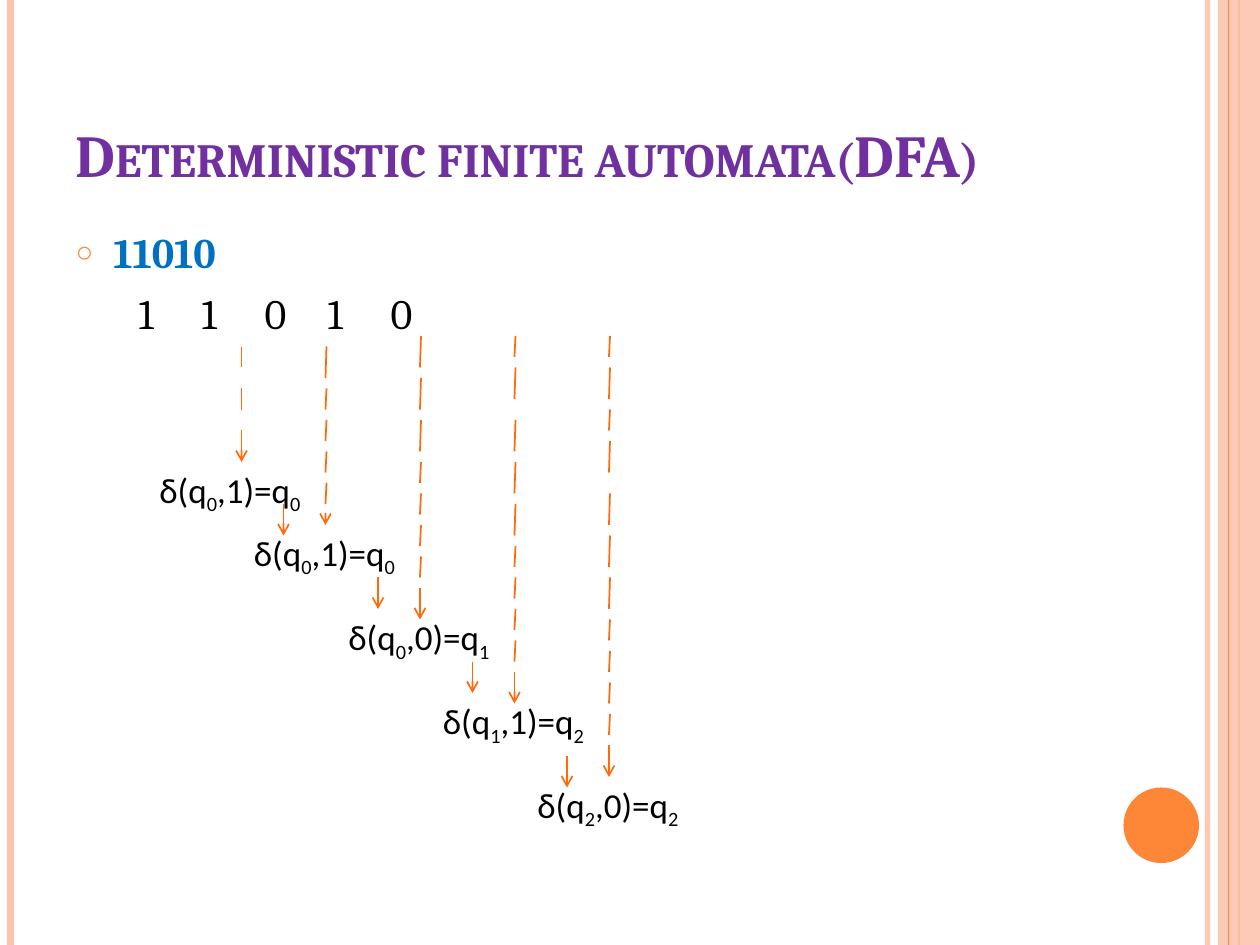
from lxml import etree
from pptx import Presentation
from pptx import util as u
from pptx.dml.color import RGBColor
from pptx.enum import shapes, text
from pptx.oxml.ns import qn

Pt = u.Pt
PURPLE = RGBColor(0x70, 0x30, 0xA0)
BLUE = RGBColor(0x00, 0x70, 0xC0)
BLACK = RGBColor(0, 0, 0)
PINK = RGBColor(0xFE, 0xC3, 0xAE)
ORANGE = RGBColor(0xFE, 0x86, 0x37)
ARROW = RGBColor(0xFF, 0x6B, 0x0A)

TITLE = "Deterministic finite automata(DFA)"
WORD = "11010"
STEPS = [("0", "1", "0"), ("0", "1", "0"), ("0", "0", "1"), ("1", "1", "2"), ("2", "0", "2")]
UNIT = 6
ROWS = [44, 50, 58, 66, 74]
COLS = [138, 186, 240, 294, 348]
DASHES = [
    [(33, 35), (37, 39), (41, 43)],
    [(33, 36), (37, 39), (40, 42), (43, 45), (46, 48)],
    [(32, 35), (36, 39), (40, 43), (44, 46), (47, 49), (50, 52), (53, 55)],
    [(32, 34), (35, 38), (40, 43), (44, 47), (48, 51), (52, 54), (55, 57), (58, 60), (61, 63)],
    [(32, 34), (35, 38), (39, 41), (42, 45), (47, 50), (51, 54), (55, 58), (59, 61), (62, 64),
     (65, 67), (68, 70)],
]
HEADS = [(43, 44), (49, 50), (56, 59), (64, 67), (71, 74)]
LINKS = [48, 55, 63, 72]
EDGES = [(690, PINK, 3, 93), (6, PINK, 4.5, 100), (708, ORANGE, 1.5, 100)]
LABEL_X, LABEL_STEP, LINK_X = 84, 54, 162
TAB_X, TAB_STEP = 73, 41.7


def put(item, vals):
    for key, val in vals.items():
        setattr(item, key, val)


def child(node, tag, **vals):
    return etree.SubElement(node, qn(tag), {k: str(v) for k, v in vals.items()})


def fade(node, pct):
    for color in node.iter(qn("a:srgbClr")):
        child(color, "a:alpha", val=pct * 1000)


def line(x1, y1, x2, y2, color=ARROW, width=1, alpha=100, head=False):
    conn = slide.shapes.add_connector(
        shapes.MSO_CONNECTOR.STRAIGHT, Pt(x1), Pt(y1), Pt(x2), Pt(y2))
    conn.line.color.rgb = color
    conn.line.width = Pt(width)
    props = conn.element.spPr
    if alpha < 100:
        fade(props, alpha)
    if head:
        child(props.find(qn("a:ln")), "a:tailEnd", type="arrow")
    child(props, "a:effectLst")


def block(kind, x, y, w, h, color, alpha=100):
    shape = slide.shapes.add_shape(kind, Pt(x), Pt(y), Pt(w), Pt(h))
    shape.shadow.inherit = False
    shape.fill.solid()
    shape.fill.fore_color.rgb = color
    if alpha < 100:
        fade(shape.element.spPr, alpha)
    shape.line.fill.background()


def write(para, words, size, face, color, bold=False, base=0):
    run = para.add_run()
    run.text = words
    put(run.font, {"size": Pt(size), "name": face, "bold": bold})
    run.font.color.rgb = color
    if base:
        run.font._element.set("baseline", str(base * 1000))
    return run


def place(shape, x, y, w, h, anchor):
    put(shape, {"left": Pt(x), "top": Pt(y), "width": Pt(w), "height": Pt(h)})
    put(shape.text_frame, {"word_wrap": True, "vertical_anchor": anchor,
                           "auto_size": text.MSO_AUTO_SIZE.NONE})
    return shape.text_frame


deck = Presentation()
put(deck, {"slide_width": Pt(720), "slide_height": Pt(540)})
slide = deck.slides.add_slide(deck.slide_layouts[1])

for x, color, width, alpha in EDGES:
    line(x, 0, x, 540, color, width, alpha)
block(shapes.MSO_SHAPE.RECTANGLE, 696, 0, 24, 540, PINK, 87)
line(702, 0, 702, 540, ORANGE, 0.75)
block(shapes.MSO_SHAPE.OVAL, 642, 450, 43.2, 43.2, ORANGE)

frame = place(slide.shapes.title, 36, 21.6, 588, 90, text.MSO_ANCHOR.BOTTOM)
para = frame.paragraphs[0]
para.alignment = text.PP_ALIGN.LEFT
run = write(para, TITLE, 34, "Cambria", PURPLE, True)
run.font._element.set("cap", "small")

frame = place(slide.placeholders[1], 36, 126, 588, 384, text.MSO_ANCHOR.TOP)
para = frame.paragraphs[0]
props = para._p.get_or_add_pPr()
put_in = Pt(21.6)
props.set("marL", str(put_in))
props.set("indent", str(-put_in))
child(child(props, "a:buClr"), "a:srgbClr", val=ORANGE)
child(props, "a:buSzPct", val=70000)
child(props, "a:buChar", char="○")
para.space_before = Pt(0)
write(para, WORD, 24, "Cambria", BLUE, True)

para = frame.add_paragraph()
props = para._p.get_or_add_pPr()
props.set("marL", "0")
props.set("indent", "0")
child(props, "a:buNone")
tabs = child(props, "a:tabLst")
for i in range(len(WORD)):
    child(tabs, "a:tab", pos=Pt(TAB_X + i * TAB_STEP), algn="ctr")
para.space_before = Pt(6)
write(para, "".join("\t" + digit for digit in WORD), 24, "Cambria", BLACK)

for i, (state, digit, goal) in enumerate(STEPS):
    x = COLS[i]
    lean = 0.6 if i else 0
    for top, end in DASHES[i]:
        line(x + lean, top * UNIT, x, end * UNIT)
    top, end = HEADS[i]
    line(x, top * UNIT, x, end * UNIT, head=True)

    label = slide.shapes.add_textbox(
        Pt(LABEL_X + i * LABEL_STEP), Pt(ROWS[i] * UNIT), Pt(103), Pt(31.5))
    put(label.text_frame, {"word_wrap": False,
                           "auto_size": text.MSO_AUTO_SIZE.SHAPE_TO_FIT_TEXT})
    para = label.text_frame.paragraphs[0]
    for words, base in [("δ(q", 0), (state, -25), (f",{digit})=q", 0), (goal, -25)]:
        write(para, words, 20, "Calibri", BLACK, base=base)

for i, top in enumerate(LINKS):
    x = LINK_X + i * LABEL_STEP
    line(x, top * UNIT, x, (top + 3) * UNIT, head=True)

deck.save("out.pptx")
